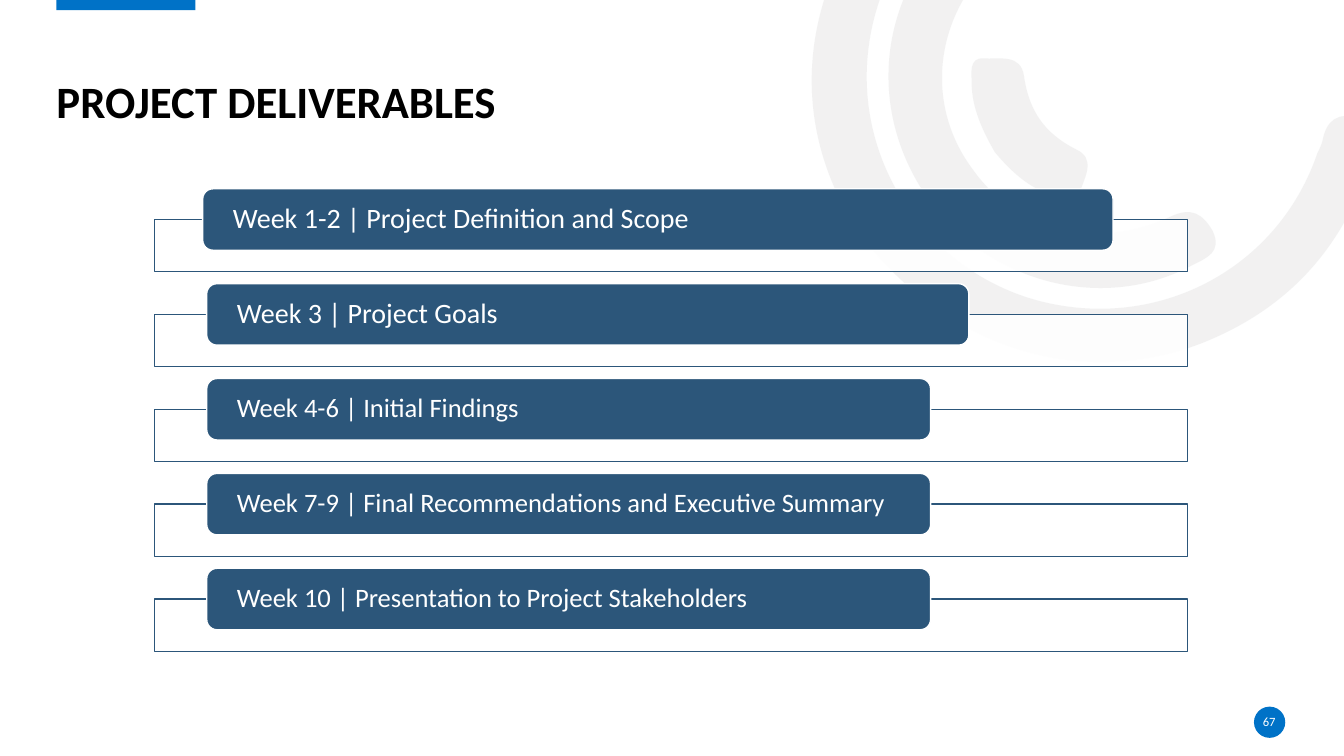
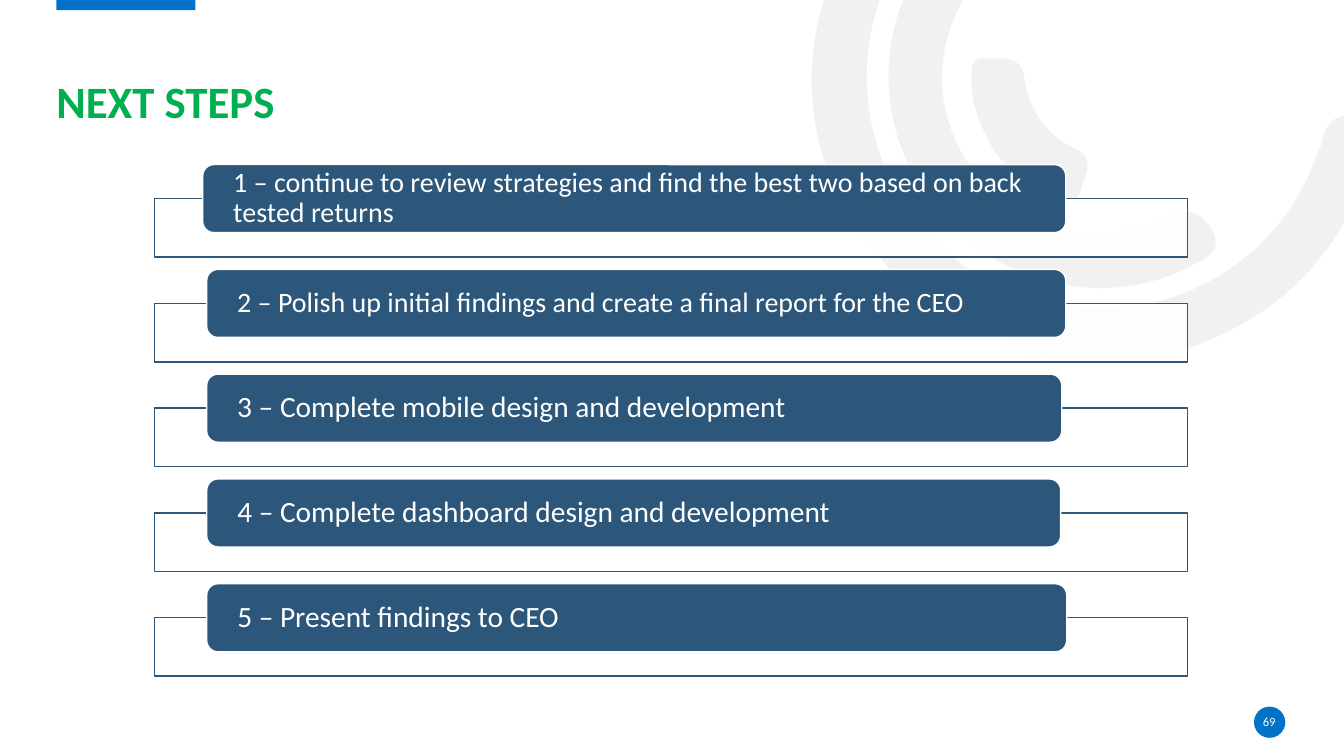
from dataclasses import dataclass
from typing import NamedTuple

from lxml.etree import SubElement
from pptx import Presentation
from pptx.dml.color import RGBColor
from pptx.enum.shapes import MSO_SHAPE
from pptx.enum.text import MSO_ANCHOR, MSO_AUTO_SIZE, PP_ALIGN
from pptx.oxml.ns import qn
from pptx.shapes.autoshape import Shape
from pptx.slide import Slide, SlideLayout
from pptx.text.text import TextFrame
from pptx.util import Inches, Pt

BLACK = RGBColor(0x00, 0x00, 0x00)
WHITE = RGBColor(0xFF, 0xFF, 0xFF)
GREEN = RGBColor(0x00, 0xB0, 0x50)
BLUE = RGBColor(0x00, 0x72, 0xC7)
NAVY = RGBColor(0x2C, 0x56, 0x7A)
GREY = RGBColor(0xE7, 0xE6, 0xE6)

FONT = "Calibri"
WIDTH, HEIGHT = Inches(40) // 3, Inches(7.5)
CELL = HEIGHT / 7.5
BAR_INSET = 2.03
FIRST_LAYOUT_ID = 100

Point = tuple[float, float]


class Box(NamedTuple):
    left: float
    top: float
    width: float
    height: float

    def emu(self) -> tuple[int, int, int, int]:
        return (round(WIDTH * self.left / 100), round(HEIGHT * self.top / 100),
                round(WIDTH * self.width / 100), round(HEIGHT * self.height / 100))


@dataclass(frozen=True)
class Bar:
    text: str
    left: float
    width: float
    size: int


@dataclass(frozen=True)
class ListSlide:
    title: str
    title_color: RGBColor
    number: str
    top: float
    pitch: float
    bar_height: float
    frame_height: float
    bars: tuple[Bar, ...]


TITLE = Box(4.2, 3.6, 91.45, 13.4)
STRIPE = Box(4.2, -0.27, 10.35, 1.6)
BADGE = Box(93.3, 93.47, 2.33, 4.13)
NUMBER = Box(93.23, 94.13, 2.4, 2.67)
FRAME_LEFT, FRAME_WIDTH = 11.48, 76.9
FIRST_LEFT, BAR_LEFT = 15.08, 15.38

SWIRL: tuple[tuple[Point, ...], ...] = (
    ((8.51, 2.29), (7.99, 1.49), (7.87, 0.5), (8.38, -0.5),
     (8.9, -1.52), (9.76, -2.03), (10.9, -2.07),
     (11.05, -2.07), (11.21, -2.1), (11.31, -1.95),
     (11.44, -1.75), (11.27, -1.54), (10.98, -1.54),
     (9.67, -1.54), (8.65, -0.59), (8.6, 0.68),
     (8.56, 1.81), (9.36, 2.81), (10.46, 3.02),
     (11.6, 3.24), (12.7, 2.61), (13.07, 1.52),
     (13.09, 1.48), (13.11, 1.44), (13.12, 1.4),
     (13.16, 1.19), (13.27, 1.11), (13.49, 1.17),
     (13.73, 1.24), (13.67, 1.41), (13.61, 1.56),
     (13.34, 2.45), (12.78, 3.07), (11.91, 3.41),
     (10.7, 3.87), (9.36, 3.45), (8.51, 2.29)),
    ((9.22, 1.99), (8.62, 1.15), (8.69, 0.07), (9.4, -0.68),
     (9.51, -0.79), (9.62, -0.95), (9.8, -0.78),
     (9.95, -0.64), (9.97, -0.5), (9.79, -0.32),
     (9.25, 0.26), (9.2, 1.08), (9.65, 1.68),
     (10.08, 2.29), (10.88, 2.49), (11.61, 2.15),
     (11.82, 2.05), (11.93, 2.12), (12.03, 2.29),
     (12.13, 2.5), (11.97, 2.56), (11.83, 2.63),
     (10.96, 3.1), (9.83, 2.82), (9.22, 1.99)),
    ((9.87, 1.51), (9.75, 1.3), (9.64, 1.07), (9.64, 0.82),
     (9.64, 0.73), (9.61, 0.57), (9.76, 0.58),
     (9.92, 0.59), (10.13, 0.53), (10.16, 0.76),
     (10.21, 1.1), (10.36, 1.32), (10.67, 1.48),
     (10.88, 1.57), (10.76, 1.76), (10.72, 1.89),
     (10.68, 2.06), (10.55, 1.98), (10.45, 1.94),
     (10.21, 1.87), (10.03, 1.7), (9.87, 1.51)),
)

SLIDES = (
    ListSlide("PROJECT DELIVERABLES", BLACK, "67", 24.97, 12.55, 8.13, 6.93, (
        Bar("Week 1-2 | Project Definition and Scope", FIRST_LEFT, 67.74, 20),
        Bar("Week 3 | Project Goals", BAR_LEFT, 56.71, 20),
        Bar("Week 4-6 | Initial Findings", BAR_LEFT, 53.86, 19),
        Bar("Week 7-9 | Final Recommendations and Executive Summary", BAR_LEFT, 53.86, 19),
        Bar("Week 10 | Presentation to Project Stakeholders", BAR_LEFT, 53.86, 19),
    )),
    ListSlide("NEXT STEPS", GREEN, "69", 21.77, 13.86, 9.0, 7.73, (
        Bar("1 – continue to review strategies and find the best two based on back tested returns",
            FIRST_LEFT, 64.22, 20),
        Bar("2 – Polish up initial findings and create a final report for the CEO",
            BAR_LEFT, 63.92, 20),
        Bar("3 – Complete mobile design and development", BAR_LEFT, 63.62, 21),
        Bar("4 – Complete dashboard design and development", BAR_LEFT, 63.54, 21),
        Bar("5 – Present findings to CEO", BAR_LEFT, 63.99, 21),
    )),
)


def paint(sp: Shape, fill: RGBColor, line: RGBColor | None = None, opacity: int = 100) -> None:
    sp.shadow.inherit = False
    sp.fill.solid()
    sp.fill.fore_color.rgb = fill
    if opacity < 100:
        clr = sp.element.spPr.find(qn("a:solidFill")).find(qn("a:srgbClr"))
        SubElement(clr, qn("a:alpha")).set("val", str(opacity * 1000))
    if line is None:
        sp.line.fill.background()
    else:
        sp.line.color.rgb = line
        sp.line.width = Pt(1)


def add_box(s: Slide, kind: MSO_SHAPE, box: Box, fill: RGBColor,
            line: RGBColor | None = None, opacity: int = 100) -> Shape:
    sp = s.shapes.add_shape(kind, *box.emu())
    paint(sp, fill, line, opacity)
    return sp


def write(tf: TextFrame, text: str, size: int, color: RGBColor, bold: bool = False,
          align: PP_ALIGN = PP_ALIGN.LEFT, anchor: MSO_ANCHOR = MSO_ANCHOR.MIDDLE,
          inset: float = 0, spacing: float = 0.9) -> None:
    tf.text = text
    tf.auto_size = MSO_AUTO_SIZE.NONE
    tf.word_wrap = True
    tf.vertical_anchor = anchor
    tf.margin_left = tf.margin_right = round(WIDTH * inset / 100)
    tf.margin_top = tf.margin_bottom = 0
    p = tf.paragraphs[0]
    p.alignment = align
    p.line_spacing = spacing
    r = p.runs[0]
    r.font.name = FONT
    r.font.size = Pt(size)
    r.font.bold = bold
    r.font.color.rgb = color


def add_curve(s: Slide, outline: tuple[Point, ...]) -> Shape:
    start, *rest = [(round(x * CELL), round(y * CELL)) for x, y in outline]
    builder = s.shapes.build_freeform(*start)
    builder.add_line_segments(rest, close=True)
    sp = builder.convert_to_shape()
    outline_xml = next(sp.element.iter(qn("a:path")))
    lines = outline_xml.findall(qn("a:lnTo"))[:len(rest)]
    close = outline_xml.find(qn("a:close"))
    for line in outline_xml.findall(qn("a:lnTo")):
        outline_xml.remove(line)
    for i in range(0, len(lines), 3):
        curve = SubElement(outline_xml, qn("a:cubicBezTo"))
        for line in lines[i:i + 3]:
            curve.append(line.find(qn("a:pt")))
    outline_xml.append(close)
    paint(sp, GREY, opacity=53)
    return sp


def decorate_layout(s: Slide, layout: SlideLayout) -> None:
    parts = [add_curve(s, outline) for outline in SWIRL]
    parts.append(add_box(s, MSO_SHAPE.RECTANGLE, STRIPE, BLUE))
    parts.append(add_box(s, MSO_SHAPE.OVAL, BADGE, BLUE))
    for shape_id, sp in enumerate(parts, FIRST_LAYOUT_ID):
        sp.element.nvSpPr.cNvPr.set("id", str(shape_id))
        layout.shapes.element.append(sp.element)


def add_heading(s: Slide, item: ListSlide) -> None:
    title = s.shapes.title
    title.left, title.top, title.width, title.height = TITLE.emu()
    write(title.text_frame, item.title, 32, item.title_color, bold=True, anchor=MSO_ANCHOR.BOTTOM)
    number = s.shapes.add_textbox(*NUMBER.emu())
    write(number.text_frame, item.number, 9, WHITE, align=PP_ALIGN.CENTER, spacing=1.0)


def add_bars(s: Slide, item: ListSlide) -> None:
    for row, bar in enumerate(item.bars):
        top = item.top + row * item.pitch
        frame = Box(FRAME_LEFT, top + item.bar_height / 2, FRAME_WIDTH, item.frame_height)
        add_box(s, MSO_SHAPE.RECTANGLE, frame, WHITE, NAVY, opacity=90)
        sp = add_box(s, MSO_SHAPE.ROUNDED_RECTANGLE,
                     Box(bar.left, top, bar.width, item.bar_height), NAVY, WHITE)
        write(sp.text_frame, bar.text, bar.size, WHITE, inset=BAR_INSET)


def main() -> None:
    prs = Presentation()
    prs.slide_width, prs.slide_height = WIDTH, HEIGHT
    layout = prs.slide_layouts[5]
    slides = [prs.slides.add_slide(layout) for _ in SLIDES]
    decorate_layout(slides[0], layout)
    for s, item in zip(slides, SLIDES):
        add_heading(s, item)
        add_bars(s, item)
    prs.save("out.pptx")


if __name__ == "__main__":
    main()
